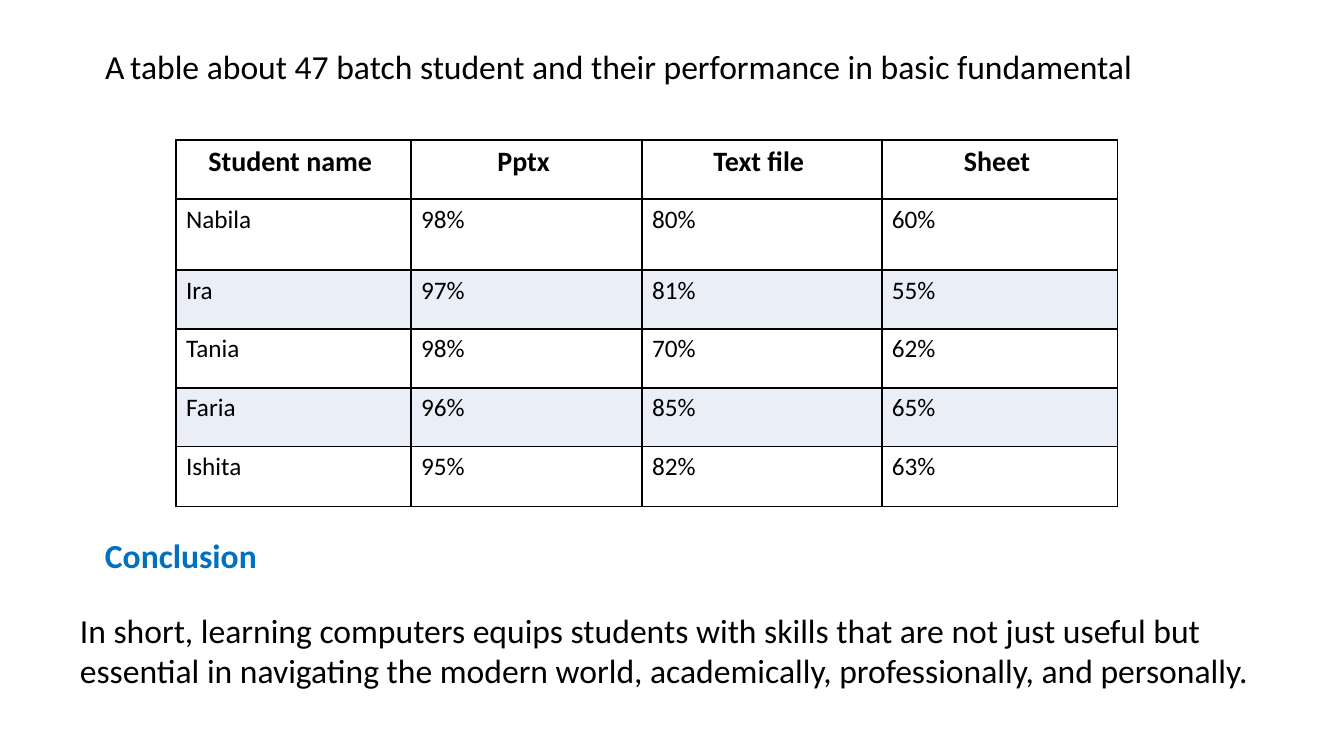
from lxml.etree import SubElement
from pptx import Presentation
from pptx.dml.color import RGBColor
from pptx.enum.text import MSO_ANCHOR as Anchor, MSO_AUTO_SIZE as AutoSize, PP_ALIGN as Align
from pptx.oxml.ns import qn
from pptx.util import Pt

PX = 914400 / 100.8
COLORS = {"ink": "000000", "accent": "0070C0", "plain": "FFFFFF", "band": "EAEFF7"}
HEADER = [[("Student name ", 20)], [("Pptx", 20), (" ", 18)],
          [("Text file ", 20)], [("Sheet", 20), (" ", 18)]]
SCORES = [
    ("Nabila", "98%", "80%", "60%"),
    ("Ira", "97%", "81%", "55%"),
    ("Tania", "98%", "70%", "62%"),
    ("Faria", "96%", "85%", "65%"),
    ("Ishita", "95%", "82%", "63%"),
]
COLUMN_WIDTHS = [235, 231, 240, 236]
ROW_HEIGHTS = [59, 71, 59, 59, 59, 60]


def px(length):
    """Turn a length in px into EMU."""
    return round(length * PX)


def rgb(name):
    """Look up a named colour."""
    return RGBColor.from_string(COLORS[name])


def write(frame, text, size=24, color="ink", bold=False, align=Align.LEFT):
    """Write a string, or a list of (string, size) runs, into a text frame."""
    paragraph = frame.paragraphs[0]
    paragraph.alignment = align
    for words, points in [(text, size)] if isinstance(text, str) else text:
        run = paragraph.add_run()
        run.text = words
        run.font.name = "Calibri"
        run.font.size = Pt(points)
        run.font.bold = bold
        run.font.color.rgb = rgb(color)


def add_heading(slide, left, top, width, height):
    """Place the slide title in the given box."""
    title = slide.shapes.title
    title.left, title.top, title.width, title.height = map(px, (left, top, width, height))
    frame = title.text_frame
    frame.word_wrap = True
    frame.auto_size = AutoSize.NONE
    frame.vertical_anchor = Anchor.TOP
    write(frame, [("A", 24), (" ", 18),
                  ("table about 47 batch student and their performance in basic fundamental", 24)])


def add_note(slide, left, top, width, height, text, **style):
    """Add a wrapped text box in the given box."""
    frame = slide.shapes.add_textbox(*map(px, (left, top, width, height))).text_frame
    frame.word_wrap = True
    write(frame, text, **style)


def format_cell(cell, fill):
    """Give a cell thin black borders and a solid fill."""
    properties = cell._tc.get_or_add_tcPr()
    for side in ("lnL", "lnR", "lnT", "lnB"):
        border = SubElement(properties, qn(f"a:{side}"), w=str(Pt(1)))
        SubElement(SubElement(border, qn("a:solidFill")), qn("a:srgbClr"), val=COLORS["ink"])
    cell.fill.solid()
    cell.fill.fore_color.rgb = rgb(fill)


def add_scores(slide, left, top):
    """Add the table of student scores at the given corner."""
    box = map(px, (left, top, sum(COLUMN_WIDTHS), sum(ROW_HEIGHTS)))
    table = slide.shapes.add_table(len(ROW_HEIGHTS), len(COLUMN_WIDTHS), *box).table
    for column, width in zip(table.columns, COLUMN_WIDTHS):
        column.width = px(width)
    for row, height in zip(table.rows, ROW_HEIGHTS):
        row.height = px(height)
    for row_index, entries in enumerate([HEADER, *SCORES]):
        is_header = row_index == 0
        fill = "band" if row_index in (2, 4) else "plain"
        for column_index, entry in enumerate(entries):
            cell = table.cell(row_index, column_index)
            format_cell(cell, fill)
            write(cell.text_frame, entry, size=18, bold=is_header,
                  align=Align.CENTER if is_header else Align.LEFT)


def main():
    """Build the slide and save it."""
    deck = Presentation()
    deck.slide_width, deck.slide_height = px(1344), px(756)
    slide = deck.slides.add_slide(deck.slide_layouts[5])
    add_heading(slide, 95, 41, 1156, 50)
    add_scores(slide, 176, 140)
    add_note(slide, 70, 605, 1233, 92,
             "In short, learning computers equips students with skills that are not just "
             "useful but essential in navigating the modern world, academically, "
             "professionally, and personally.")
    add_note(slide, 95, 530, 333, 50, "Conclusion", color="accent", bold=True)
    deck.save("out.pptx")


if __name__ == "__main__":
    main()
